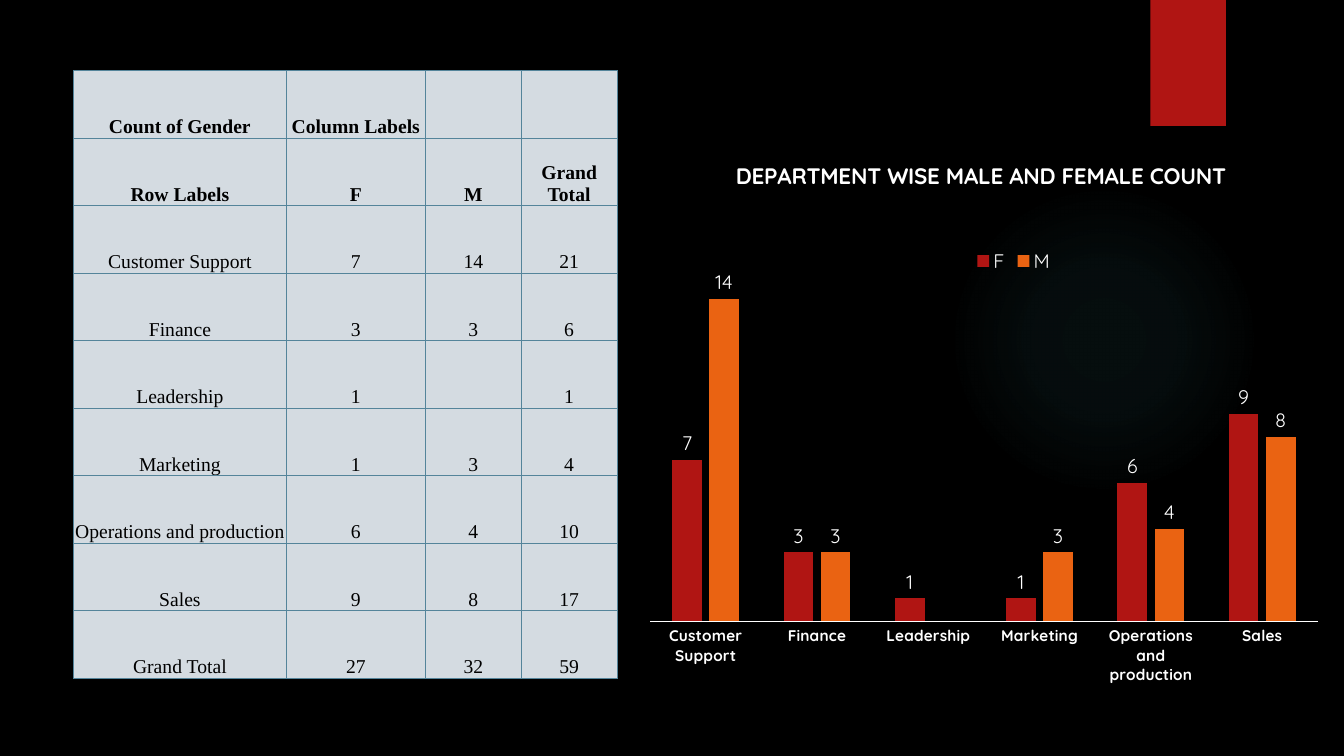
from lxml import etree
from pptx import Presentation
from pptx import util as u
from pptx.chart.data import CategoryChartData
from pptx.dml.color import RGBColor
from pptx.enum import chart as ch, shapes, text
from pptx.oxml import parse_xml
from pptx.oxml.ns import nsdecls, qn

PX = 9144
BLACK = RGBColor(0x00, 0x00, 0x00)
WHITE = RGBColor(0xFF, 0xFF, 0xFF)
RED = RGBColor(0xB0, 0x15, 0x13)
ORANGE = RGBColor(0xEA, 0x63, 0x12)
PALE = RGBColor(0xD4, 0xDB, 0xE1)
TEAL = RGBColor(0x50, 0xB9, 0xC1)
BORDER = RGBColor(0x54, 0x84, 0x9A)
TABLE_FONT = "Times New Roman"
CHART_FONT = "Quicksand"

DEPARTMENTS = [
    ("Customer Support", 7, 14),
    ("Finance", 3, 3),
    ("Leadership", 1, None),
    ("Marketing", 1, 3),
    ("Operations and production", 6, 4),
    ("Sales", 9, 8),
]
COLUMN_WIDTHS = [211, 138, 95, 95]
ROW_HEIGHT = 67


def px(*lengths):
    """Turn pixel lengths into EMU."""
    return [u.Emu(length * PX) for length in lengths]


def add_block(slide, preset, box, color):
    """Add a plain filled shape without line or shadow."""
    block = slide.shapes.add_shape(preset, *px(*box))
    block.shadow.inherit = False
    block.fill.solid()
    block.fill.fore_color.rgb = color
    block.line.fill.background()
    return block


def add_glow(slide, box, color, stops):
    """Add an ellipse whose color fades outwards through (position, alpha) stops."""
    glow = add_block(slide, shapes.MSO_SHAPE.OVAL, box, color)
    marks = "".join(
        f'<a:gs pos="{pos * 1000}"><a:srgbClr val="{color}">'
        f'<a:alpha val="{alpha * 1000}"/></a:srgbClr></a:gs>'
        for pos, alpha in stops
    )
    fade = parse_xml(
        f'<a:gradFill {nsdecls("a")}><a:gsLst>{marks}</a:gsLst><a:path path="circle">'
        '<a:fillToRect l="50000" t="50000" r="50000" b="50000"/></a:path></a:gradFill>'
    )
    properties = glow.fill._xPr
    properties.replace(properties.find(qn("a:solidFill")), fade)


def add_borders(cell):
    """Draw a thin line on all four sides of a cell."""
    properties = cell._tc.get_or_add_tcPr()
    for side in "LRTB":
        line = etree.SubElement(properties, qn(f"a:ln{side}"), w=str(u.Pt(0.75)))
        paint = etree.SubElement(line, qn("a:solidFill"))
        etree.SubElement(paint, qn("a:srgbClr"), val=str(BORDER))


def fill_cell(cell, label, bold):
    """Style a cell and write its centred label."""
    add_borders(cell)
    cell.fill.solid()
    cell.fill.fore_color.rgb = PALE
    cell.vertical_anchor = text.MSO_ANCHOR.BOTTOM
    cell.margin_left = cell.margin_right = cell.margin_top = cell.margin_bottom = 0
    if label is None:
        return
    paragraph = cell.text_frame.paragraphs[0]
    paragraph.alignment = text.PP_ALIGN.CENTER
    run = paragraph.add_run()
    run.text = str(label)
    style_font(run.font, TABLE_FONT, 14, BLACK, bold)


def style_font(font, name, size, color, bold=False):
    """Set the face, size, color and weight of a font."""
    font.name = name
    font.size = u.Pt(size)
    font.color.rgb = color
    font.bold = bold


def pivot_rows():
    """Return the header, department and total rows."""
    counts = [(name, f, m, f + (m or 0)) for name, f, m in DEPARTMENTS]
    totals = [sum(row[i] or 0 for row in counts) for i in (1, 2, 3)]
    return [
        ("Count of Gender", "Column Labels", None, None),
        ("Row Labels", "F", "M", "Grand Total"),
        *counts,
        ("Grand Total", *totals),
    ]


def add_pivot(slide, left, top):
    """Add the table of gender counts."""
    rows = pivot_rows()
    box = px(left, top, sum(COLUMN_WIDTHS), ROW_HEIGHT * len(rows))
    pivot = slide.shapes.add_table(len(rows), len(COLUMN_WIDTHS), *box).table
    pivot.first_row = pivot.horz_banding = False
    for column, width in zip(pivot.columns, px(*COLUMN_WIDTHS)):
        column.width = width
    for r, row in enumerate(rows):
        pivot.rows[r].height = px(ROW_HEIGHT)[0]
        for c, label in enumerate(row):
            fill_cell(pivot.cell(r, c), label, bold=r < 2)


def place(part, target=None, **spots):
    """Give a chart part a manual layout in fractions of the chart."""
    for old in part.findall(qn("c:layout")):
        part.remove(old)
    layout = etree.Element(qn("c:layout"))
    manual = etree.SubElement(layout, qn("c:manualLayout"))
    if target:
        etree.SubElement(manual, qn("c:layoutTarget"), val=target)
    for axis in "xy":
        etree.SubElement(manual, qn(f"c:{axis}Mode"), val="edge")
    for key, value in spots.items():
        etree.SubElement(manual, qn(f"c:{key}"), val=str(value))
    overlay = part.find(qn("c:overlay"))
    if overlay is None:
        part.insert(0, layout)
    else:
        overlay.addprevious(layout)


def style_axes(chart):
    """Show only the department axis."""
    departments, counts = chart.category_axis, chart.value_axis
    departments.major_tick_mark = ch.XL_TICK_MARK.NONE
    departments.format.line.color.rgb = WHITE
    style_font(departments.tick_labels.font, CHART_FONT, 11, WHITE, True)
    counts.visible = counts.has_major_gridlines = False
    counts.minimum_scale, counts.maximum_scale = 0, 16


def style_bars(plot):
    """Set bar spacing, colors and value labels."""
    plot.gap_width, plot.overlap = 150, -25
    plot.vary_by_categories = False
    for gender, color in zip(plot.series, (RED, ORANGE)):
        gender.format.fill.solid()
        gender.format.fill.fore_color.rgb = color
        labels = gender.data_labels
        labels.show_value = True
        labels.position = ch.XL_LABEL_POSITION.OUTSIDE_END
        style_font(labels.font, CHART_FONT, 14, WHITE)


def add_department_chart(slide, box):
    """Add the clustered columns of gender counts."""
    names, female, male = zip(*DEPARTMENTS)
    counts = CategoryChartData()
    counts.categories = names
    counts.add_series("F", female)
    counts.add_series("M", male)
    kind = ch.XL_CHART_TYPE.COLUMN_CLUSTERED
    chart = slide.shapes.add_chart(kind, *px(*box), counts).chart
    style_font(chart.font, CHART_FONT, 14, WHITE)
    chart.has_title = chart.has_legend = True
    heading = chart.chart_title.text_frame.paragraphs[0].add_run()
    heading.text = "DEPARTMENT WISE MALE AND FEMALE COUNT "
    style_font(heading.font, CHART_FONT, 16, WHITE, True)
    chart.legend.position = ch.XL_LEGEND_POSITION.TOP
    chart.legend.include_in_layout = False
    style_font(chart.legend.font, CHART_FONT, 14, WHITE)
    style_axes(chart)
    style_bars(chart.plots[0])
    place(chart.chart_title._element, x=0.13, y=0.04)
    place(chart.legend._element, x=0.47, y=0.2)
    plot_area = chart._chartSpace.chart.plotArea
    place(plot_area, "inner", x=0.014, y=0.215, w=0.949, h=0.669)


def main():
    """Build and save the slide."""
    deck = Presentation()
    deck.slide_width, deck.slide_height = px(1333, 750)
    slide = deck.slides.add_slide(deck.slide_layouts[6])
    slide.background.fill.solid()
    slide.background.fill.fore_color.rgb = BLACK
    add_glow(slide, (941, 183, 308, 308), TEAL, [(0, 7), (36, 6), (69, 0)])
    add_block(slide, shapes.MSO_SHAPE.RECTANGLE, (1141, 0, 75, 125), RED)
    add_pivot(slide, 73, 70)
    add_department_chart(slide, (635, 133, 698, 547))
    deck.save("out.pptx")


if __name__ == "__main__":
    main()
